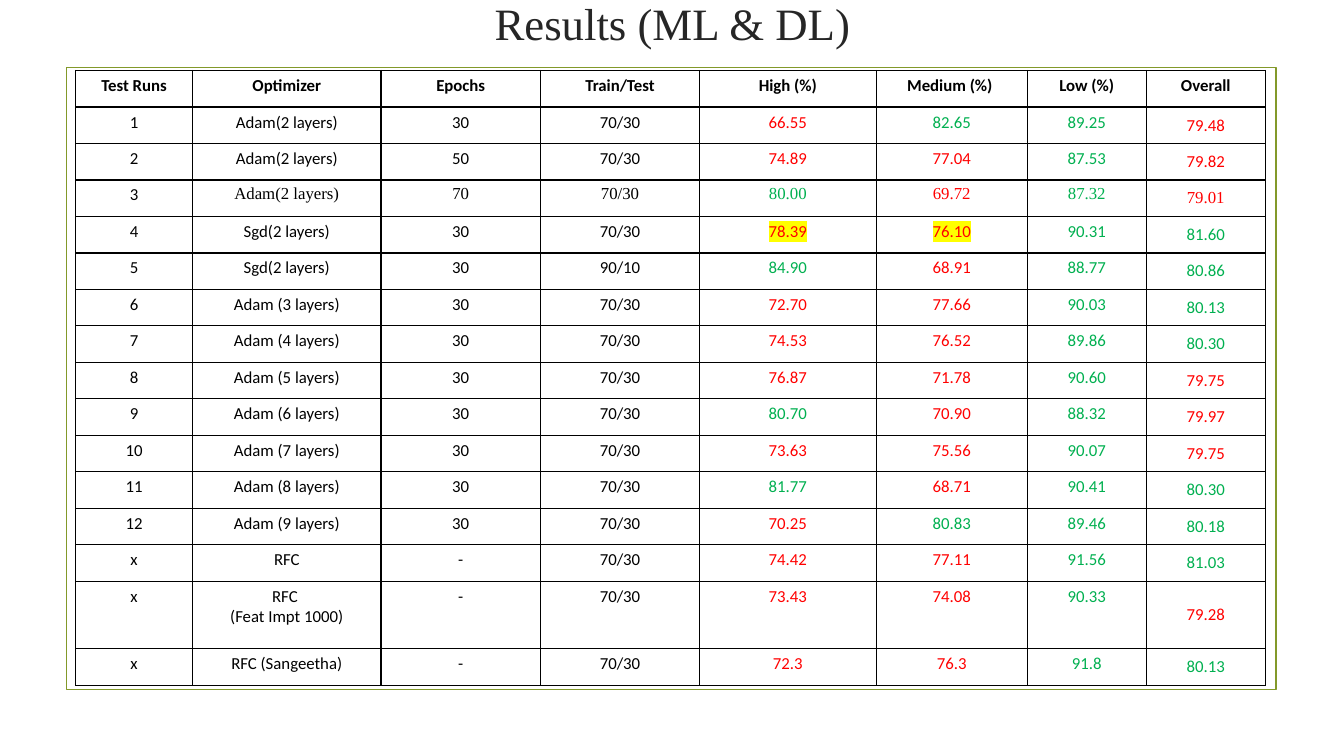
from dataclasses import dataclass

from lxml import etree
from pptx import Presentation
from pptx import util as u
from pptx.dml.color import RGBColor
from pptx.enum import shapes, text
from pptx.oxml import ns

COLORS = {
    "ink": "000000",
    "title": "262626",
    "frame": "83992A",
    "reached": "00B050",
    "missed": "FF0000",
    "marker": "FFFF00",
}
# The slide is a grid of 1333 columns and 750 rows, each 0.01 inch.
GRID_COLUMNS, GRID_ROWS = 1333, 750
UNIT = u.Inches(0.01)
TARGET = 80  # scores from here on are green
SERIF, SANS = "Times New Roman", "Calibri"
HEADINGS = ("Test Runs", "Optimizer", "Epochs", "Train/Test",
            "High (%)", "Medium (%) ", "Low (%)", "Overall")
COLUMN_SPANS = (116, 187, 158, 158, 175, 150, 118, 118)
ROW_SPAN, TALL_ROW_SPAN = 36.2, 67


@dataclass(frozen=True)
class Area:
    """Place on the slide, in grid columns and rows."""
    left: float
    top: float
    width: float
    height: float

    def lengths(self) -> tuple[u.Emu, ...]:
        return tuple(grid(n) for n in (self.left, self.top, self.width, self.height))


@dataclass(frozen=True)
class Run:
    number: str
    optimizer: str
    epochs: str
    split: str
    scores: tuple[str, str, str, str]  # high, medium, low, overall
    font: str = SANS
    marked: tuple[int, ...] = ()  # highlighted scores


@dataclass(frozen=True)
class CellStyle:
    color: str = "ink"
    font: str = SANS
    bold: bool = False
    marked: bool = False
    middle: bool = False


RUNS = (
    Run("1", "Adam(2 layers)", "30", "70/30", ("66.55", "82.65", "89.25", "79.48")),
    Run("2", "Adam(2 layers)", "50", "70/30", ("74.89", "77.04", "87.53", "79.82")),
    Run("3", "Adam(2 layers)", "70", "70/30", ("80.00", "69.72", "87.32", "79.01"), font=SERIF),
    Run("4", "Sgd(2 layers)", "30", "70/30", ("78.39", "76.10", "90.31", "81.60"), marked=(0, 1)),
    Run("5", "Sgd(2 layers)", "30", "90/10", ("84.90", "68.91", "88.77", "80.86")),
    Run("6", "Adam (3 layers)", "30", "70/30", ("72.70", "77.66", "90.03", "80.13")),
    Run("7", "Adam (4 layers)", "30", "70/30", ("74.53", "76.52", "89.86", "80.30")),
    Run("8", "Adam (5 layers)", "30", "70/30", ("76.87", "71.78", "90.60", "79.75")),
    Run("9", "Adam (6 layers)", "30", "70/30", ("80.70", "70.90", "88.32", "79.97")),
    Run("10", "Adam (7 layers)", "30", "70/30", ("73.63", "75.56", "90.07", "79.75")),
    Run("11", "Adam (8 layers)", "30", "70/30", ("81.77", "68.71", "90.41", "80.30")),
    Run("12", "Adam (9 layers)", "30", "70/30", ("70.25", "80.83", "89.46", "80.18")),
    Run("x", "RFC", "-", "70/30", ("74.42", "77.11", "91.56", "81.03")),
    Run("x", "RFC \n(Feat Impt 1000)", "-", "70/30", ("73.43", "74.08", "90.33", "79.28")),
    Run("x", "RFC (Sangeetha)", "-", "70/30", ("72.3", "76.3", "91.8", "80.13")),
)


def grid(count: float) -> u.Emu:
    return u.Emu(round(count * UNIT))


def rgb(name: str) -> RGBColor:
    return RGBColor.from_string(COLORS[name])


def format_paragraph(paragraph, size: float, font: str, color: str, bold: bool = False) -> None:
    paragraph.alignment = text.PP_ALIGN.CENTER
    paragraph.font.size = u.Pt(size)
    paragraph.font.name = font
    paragraph.font.bold = bold
    paragraph.font.color.rgb = rgb(color)


def add_borders(cell) -> None:
    properties = cell._tc.get_or_add_tcPr()
    for position, side in enumerate(("lnL", "lnR", "lnT", "lnB")):
        border = etree.Element(ns.qn(f"a:{side}"), w=str(u.Pt(1)))
        fill = etree.SubElement(border, ns.qn("a:solidFill"))
        etree.SubElement(fill, ns.qn("a:srgbClr"), val=COLORS["ink"])
        properties.insert(position, border)


def highlight(run) -> None:
    marker = etree.SubElement(run._r.get_or_add_rPr(), ns.qn("a:highlight"))
    etree.SubElement(marker, ns.qn("a:srgbClr"), val=COLORS["marker"])


def fill_cell(cell, words: str, style: CellStyle) -> None:
    paragraph = cell.text_frame.paragraphs[0]
    for index, line in enumerate(words.split("\n")):
        if index:
            paragraph.add_line_break()
        run = paragraph.add_run()
        run.text = line
        if style.marked:
            highlight(run)
    format_paragraph(paragraph, 12, style.font, style.color, style.bold)
    cell.vertical_anchor = text.MSO_ANCHOR.MIDDLE if style.middle else text.MSO_ANCHOR.TOP
    cell.fill.background()
    add_borders(cell)


def run_cells(run: Run) -> list[tuple[str, CellStyle]]:
    """Words and style of each cell in a run's row."""
    cells = [(run.number, CellStyle())]
    cells += [(words, CellStyle(font=run.font))
              for words in (run.optimizer, run.epochs, run.split)]
    for index, score in enumerate(run.scores):
        color = "reached" if float(score) >= TARGET else "missed"
        cells.append((score, CellStyle(color, run.font, marked=index in run.marked,
                                       middle=index == len(run.scores) - 1)))
    return cells


def add_frame(slide, area: Area) -> None:
    frame = slide.shapes.add_shape(shapes.MSO_SHAPE.RECTANGLE, *area.lengths())
    frame.shadow.inherit = False
    frame.fill.background()
    frame.line.color.rgb = rgb("frame")
    frame.line.width = u.Pt(1.25)


def add_results(slide, area: Area) -> None:
    rows = [[(heading, CellStyle(bold=True)) for heading in HEADINGS]]
    rows += [run_cells(run) for run in RUNS]
    results = slide.shapes.add_table(len(rows), len(HEADINGS), *area.lengths()).table
    results.first_row = results.horz_banding = False
    for column, span in zip(results.columns, COLUMN_SPANS):
        column.width = grid(span)
    for row, cells in zip(results.rows, rows):
        is_tall = any("\n" in words for words, _ in cells)
        row.height = grid(TALL_ROW_SPAN if is_tall else ROW_SPAN)
        for cell, (words, style) in zip(row.cells, cells):
            fill_cell(cell, words, style)


def set_title(slide, words: str, area: Area) -> None:
    title = slide.shapes.title
    title.left, title.top, title.width, title.height = area.lengths()
    title.text_frame.text = words
    title.text_frame.word_wrap = True
    title.text_frame.auto_size = text.MSO_AUTO_SIZE.NONE
    title.text_frame.vertical_anchor = text.MSO_ANCHOR.TOP
    format_paragraph(title.text_frame.paragraphs[0], 32, SERIF, "title")


def main() -> None:
    deck = Presentation()
    deck.slide_width, deck.slide_height = grid(GRID_COLUMNS), grid(GRID_ROWS)
    slide = deck.slides.add_slide(deck.slide_layouts.get_by_name("Title Only"))
    add_frame(slide, Area(66, 67, 1200, 617))
    add_results(slide, Area(75, 70, sum(COLUMN_SPANS), 610))
    set_title(slide, "Results (ML & DL)", Area(142, -9, 1050, 143))
    deck.save("out.pptx")


if __name__ == "__main__":
    main()
